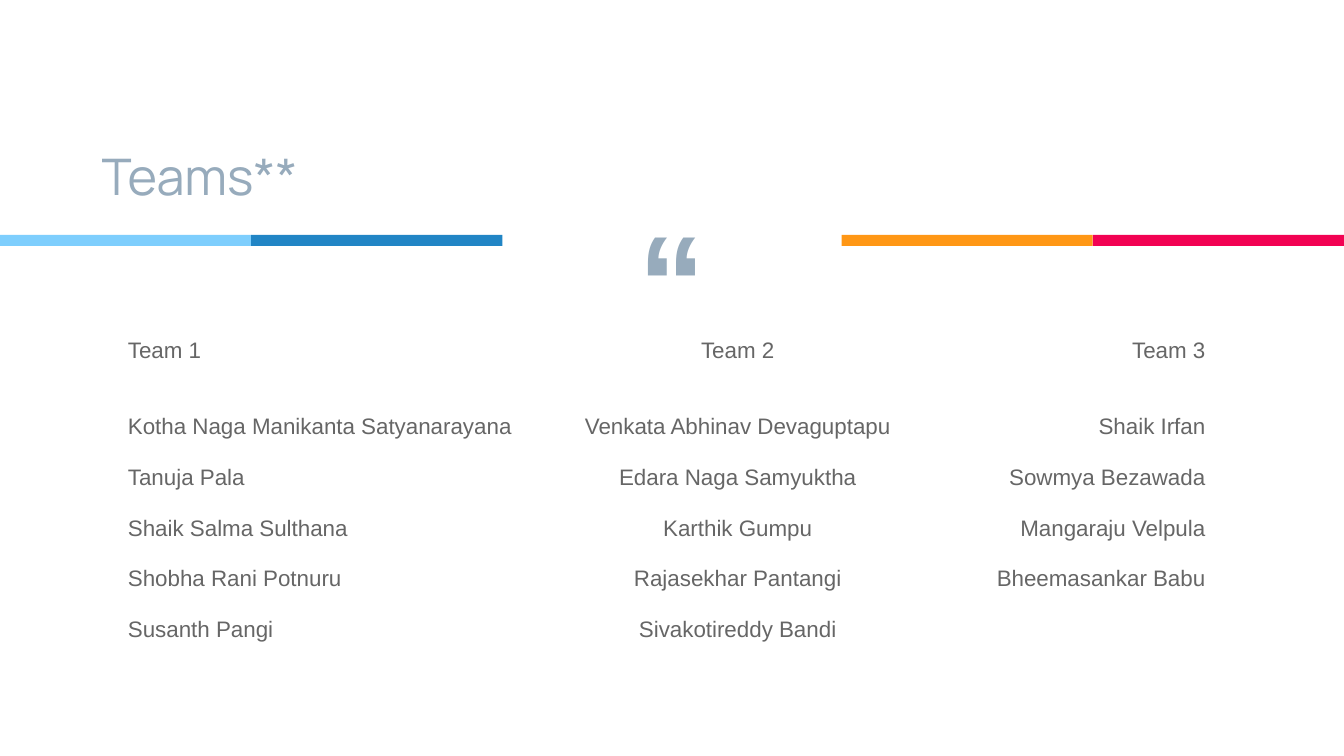
"""Build the Teams slide with three columns of members."""
import pptx
import pptx.dml.color
import pptx.enum.shapes
import pptx.enum.text
import pptx.util

Cm = pptx.util.Cm
Rgb = pptx.dml.color.RGBColor.from_string
Align = pptx.enum.text.PP_ALIGN
Anchor = pptx.enum.text.MSO_ANCHOR

TITLE = "Teams**"
QUOTE = "“"
TEAMS = {
    "Team 1": ["Kotha Naga Manikanta Satyanarayana", "Tanuja Pala",
               "Shaik Salma Sulthana", "Shobha Rani Potnuru", "Susanth Pangi"],
    "Team 2": ["Venkata Abhinav Devaguptapu", "Edara Naga Samyuktha",
               "Karthik Gumpu", "Rajasekhar Pantangi", "Sivakotireddy Bandi"],
    "Team 3": ["Shaik Irfan", "Sowmya Bezawada", "Mangaraju Velpula",
               "Bheemasankar Babu"],
}

THEME = {
    "title": {"name": "Manrope", "size": 36, "bold": False, "color": "97ABBC"},
    "quote": {"name": "Arial", "size": 96, "bold": True, "color": "97ABBC"},
    "body": {"name": "Arial", "size": 16, "bold": False, "color": "666666"},
    "bars": ["7ECEFD", "2185C5", "FF9715", "F20253"],
}

WIDE, HIGH = 33.87, 19.05
BAR = {"top": 5.92, "width": 6.33, "height": 0.28}
COLS = [10.44, 10.36, 6.86]
HEAD, ROW = 2.54, 1.28
SIDES = [Align.LEFT, Align.CENTER, Align.RIGHT]


def write(frame, text, style, side):
    """Put styled text in the first paragraph of a frame."""
    para = frame.paragraphs[0]
    para.alignment = side
    run = para.add_run()
    run.text = text
    look = {**THEME[style], "size": pptx.util.Pt(THEME[style]["size"])}
    run.font.color.rgb = Rgb(look.pop("color"))
    for key, value in look.items():
        setattr(run.font, key, value)


def add_label(slide, box, text, style, side, form):
    """Add a text box with the given frame format."""
    frame = slide.shapes.add_textbox(*map(Cm, box)).text_frame
    base = {"word_wrap": True, "margin_left": Cm(0.25), "margin_right": Cm(0.25),
            "margin_top": Cm(0.25), "margin_bottom": Cm(0.25)}
    for key, value in {**base, **form}.items():
        setattr(frame, key, value)
    write(frame, text, style, side)


def add_bars(slide):
    """Add two colour bars at each edge of the slide."""
    width = BAR["width"]
    lefts = [0, width, WIDE - 2 * width, WIDE - width]
    for left, color in zip(lefts, THEME["bars"]):
        bar = slide.shapes.add_shape(
            pptx.enum.shapes.MSO_SHAPE.RECTANGLE,
            Cm(left), Cm(BAR["top"]), Cm(width), Cm(BAR["height"]))
        bar.shadow.inherit = False
        bar.fill.solid()
        bar.fill.fore_color.rgb = Rgb(color)
        bar.line.fill.background()


def add_teams(slide):
    """Add the table with one column for each team."""
    count = 1 + max(map(len, TEAMS.values()))
    table = slide.shapes.add_table(
        count, len(TEAMS), Cm(2.97), Cm(7.77), Cm(sum(COLS)),
        Cm(HEAD + ROW * (count - 1))).table
    for key in ("first_row", "horz_banding"):
        setattr(table, key, False)
    for index, row in enumerate(table.rows):
        row.height = Cm(ROW if index else HEAD)
    for col, (team, names) in enumerate(TEAMS.items()):
        table.columns[col].width = Cm(COLS[col])
        for index in range(count):
            table.cell(index, col).fill.background()
        for index, text in enumerate([team, *names]):
            cell = table.cell(index, col)
            cell.margin_top = Cm(0.13 if index else 0.75)
            write(cell.text_frame, text, "body", SIDES[col])


def main():
    """Lay out the slide and save it."""
    deck = pptx.Presentation()
    deck.slide_width, deck.slide_height = Cm(WIDE), Cm(HIGH)
    slide = deck.slides.add_slide(deck.slide_layouts[6])
    add_label(slide, (13.31, 4.37, 7.24, 2.41), QUOTE, "quote", Align.CENTER,
              {"margin_top": Cm(0.56)})
    add_bars(slide)
    add_label(slide, (2.31, 2.26, 23.93, 3.18), TITLE, "title", Align.LEFT,
              {"vertical_anchor": Anchor.BOTTOM})
    add_teams(slide)
    deck.save("out.pptx")


if __name__ == "__main__":
    main()
